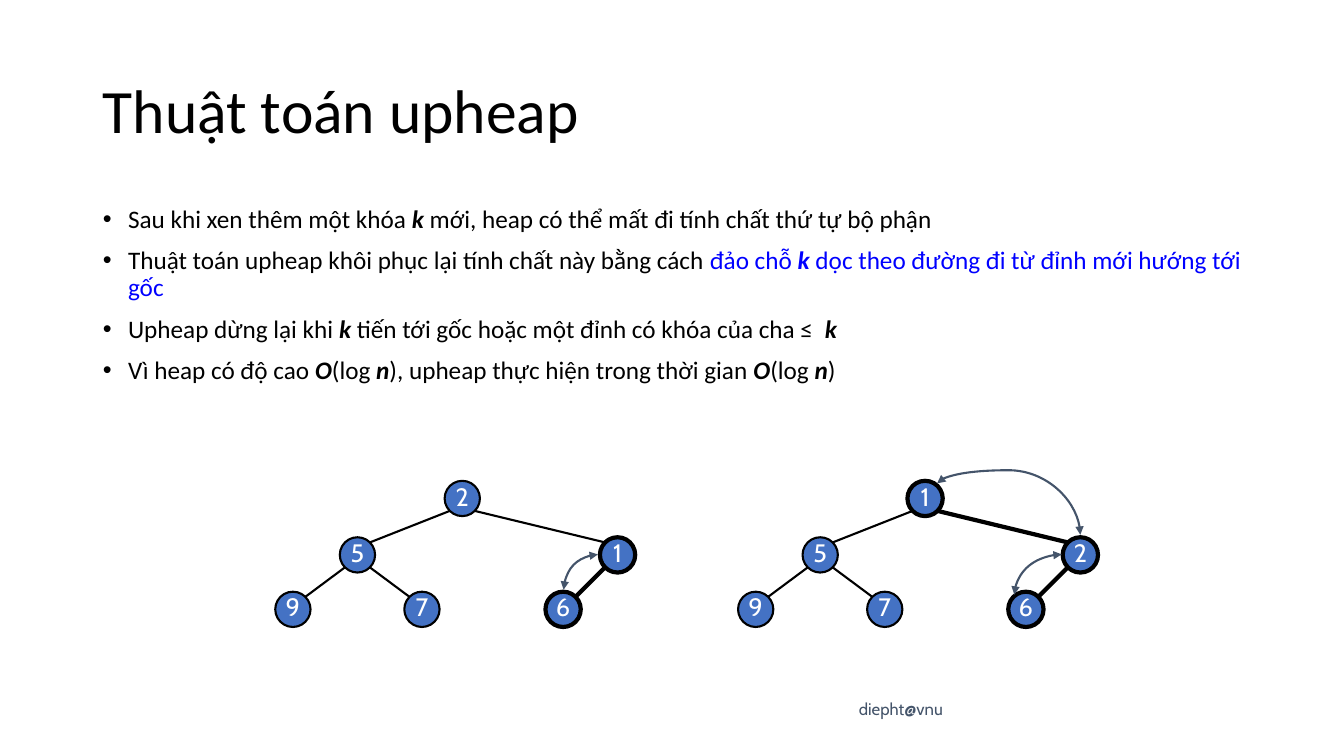
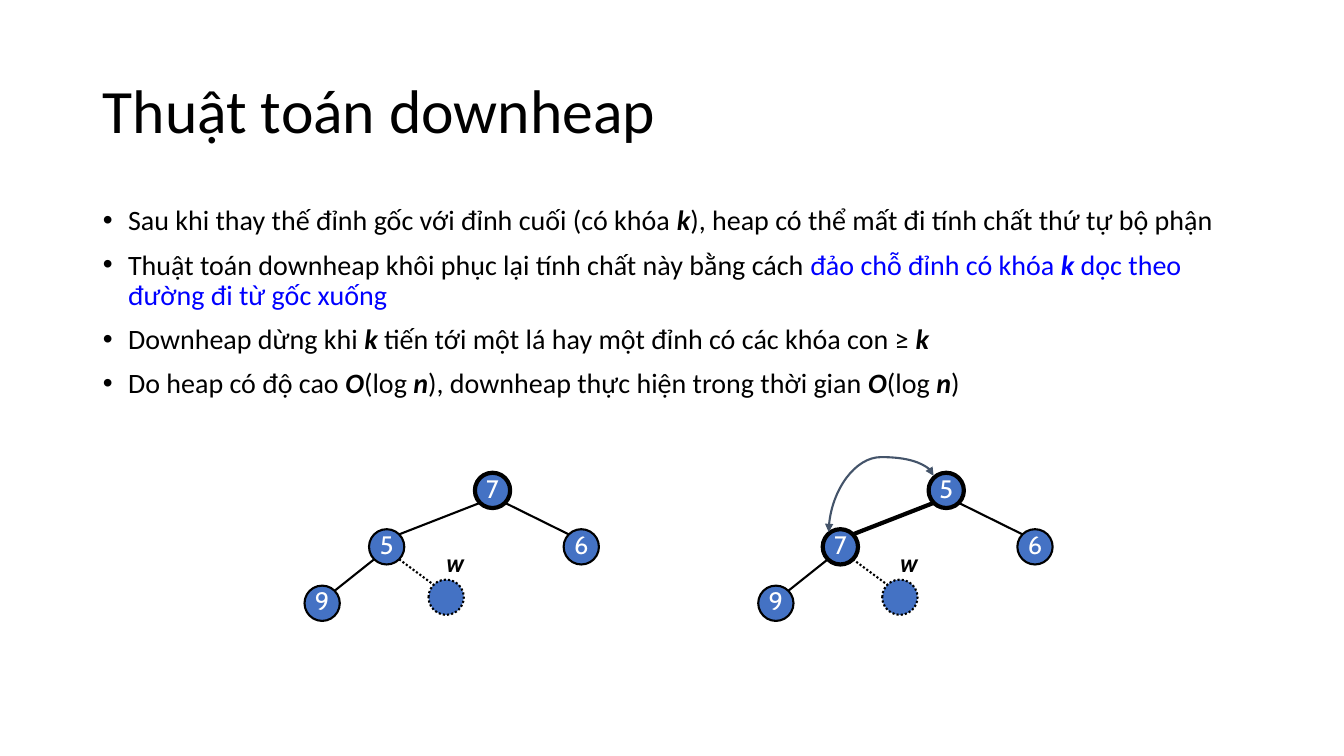
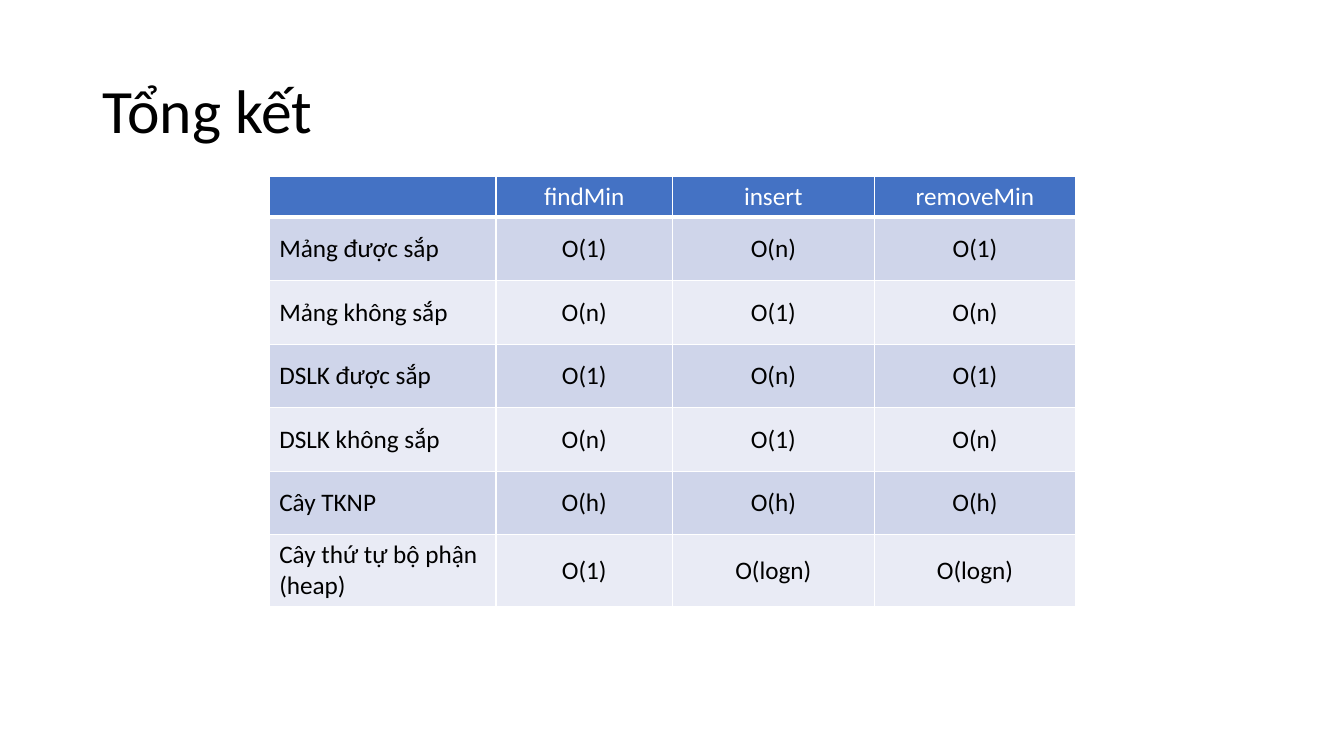
from collections import namedtuple

from lxml import etree
from pptx import Presentation
from pptx import util as u
from pptx.dml.color import RGBColor
from pptx.enum import dml, shapes, text
from pptx.oxml.ns import qn

PX = 9144
COLORS = {
    "black": "000000", "white": "FFFFFF", "node": "4472C4", "blue": "0000FF",
    "slate": "44546A", "band_dark": "CFD5EA", "band_light": "E9EBF5",
}
BODY_FONT, LABEL_FONT = "Calibri", "Cabin"
DIAMETER = 35
DIAGONAL = 0.3536 * DIAMETER
THIN, THICK = 1.5, 3

Curve = namedtuple("Curve", "box rotation flips preset adjust", defaults=(None,))

UPHEAP_NODES = {
    "root": (441, 477), "left": (337, 533), "right": (595, 533),
    "left_leaf": (273, 587), "middle_leaf": (401, 587), "right_leaf": (541, 587),
}
UPHEAP_EDGES = [("root", "left"), ("root", "right"), ("left", "left_leaf"),
                ("left", "middle_leaf"), ("right", "right_leaf")]
DOWNHEAP_NODES = {
    "root": (471, 469), "left": (366, 525), "right": (559, 525),
    "left_leaf": (302, 581), "removed": (425, 575),
}
DOWNHEAP_EDGES = [("root", "left"), ("root", "right"), ("left", "left_leaf"),
                  ("left", "removed")]

COMPLEXITY = [
    ("", "findMin", "insert", "removeMin"),
    ("Mảng được sắp", "O(1)", "O(n)", "O(1)"),
    ("Mảng không sắp", "O(n)", "O(1)", "O(n)"),
    ("DSLK được sắp", "O(1)", "O(n)", "O(1)"),
    ("DSLK không sắp", "O(n)", "O(1)", "O(n)"),
    ("Cây TKNP", "O(h)", "O(h)", "O(h)"),
    ("Cây thứ tự bộ phận (heap)", "O(1)", "O(logn)", "O(logn)"),
]


def px(*lengths):
    """Turn px lengths into EMU."""
    return [u.Emu(round(length * PX)) for length in lengths]


def rgb(name):
    """Return the named palette colour."""
    return RGBColor.from_string(COLORS[name])


def add_run(paragraph, words, size, color="black", font=BODY_FONT, strong=False):
    """Append one formatted run; strong means bold italic."""
    run = paragraph.add_run()
    run.text = words
    run.font.size = u.Pt(size)
    run.font.name = font
    run.font.bold = run.font.italic = strong
    run.font.color.rgb = rgb(color)


def place(shape, left, top, width, height):
    """Move and size a shape in px."""
    shape.left, shape.top, shape.width, shape.height = px(left, top, width, height)


def add_slide(presentation, layout, title):
    """Add a slide with the shared title style."""
    slide = presentation.slides.add_slide(presentation.slide_layouts[layout])
    place(slide.shapes.title, 92, 40, 1150, 145)
    frame = slide.shapes.title.text_frame
    frame.auto_size = text.MSO_AUTO_SIZE.NONE
    frame.vertical_anchor = text.MSO_ANCHOR.MIDDLE
    paragraph = frame.paragraphs[0]
    paragraph.alignment = text.PP_ALIGN.LEFT
    paragraph.line_spacing = 0.9
    add_run(paragraph, title, 44)
    return slide


def fill_body(slide, items, size):
    """Write bullets; each run is a text or a (text, style letters) pair."""
    body = slide.placeholders[1]
    place(body, 92, 200, 1150, 476)
    frame = body.text_frame
    frame.auto_size = text.MSO_AUTO_SIZE.NONE
    for index, runs in enumerate(items):
        paragraph = frame.add_paragraph() if index else frame.paragraphs[0]
        paragraph.line_spacing = 0.9
        paragraph.space_before = u.Pt(10)
        indent, = px(25)
        properties = paragraph._p.get_or_add_pPr()
        properties.set("marL", str(indent))
        properties.set("indent", str(-indent))
        for run in runs:
            words, style = (run, "") if isinstance(run, str) else run
            add_run(paragraph, words, size, "blue" if "c" in style else "black",
                    strong="s" in style)


def add_label(slide, box, words, size, color, wrap, strong=False):
    """Add a text box with one line of label text."""
    label = slide.shapes.add_textbox(*px(*box))
    frame = label.text_frame
    frame.word_wrap = wrap
    frame.vertical_anchor = text.MSO_ANCHOR.MIDDLE
    add_run(frame.paragraphs[0], words, size, color, LABEL_FONT, strong)


def style_line(line, width, color="black", dotted=False):
    """Set the colour, width and dash of a line."""
    line.color.rgb = rgb(color)
    line.width = u.Pt(width)
    if dotted:
        line.dash_style = dml.MSO_LINE.ROUND_DOT


def add_node(slide, left, top, label, bold):
    """Draw a heap node; a node without label is dotted."""
    node = slide.shapes.add_shape(shapes.MSO_SHAPE.OVAL,
                                  *px(left, top, DIAMETER, DIAMETER))
    node.shadow.inherit = False
    node.fill.solid()
    node.fill.fore_color.rgb = rgb("node")
    style_line(node.line, THICK if bold else THIN, dotted=not label)
    if label:
        frame = node.text_frame
        frame.word_wrap = False
        frame.vertical_anchor = text.MSO_ANCHOR.MIDDLE
        frame.margin_left = frame.margin_top = frame.margin_right = 0
        frame.margin_bottom, = px(5)
        frame.paragraphs[0].alignment = text.PP_ALIGN.CENTER
        add_run(frame.paragraphs[0], label, 18, "white", LABEL_FONT)


def add_line(slide, kind, ends, width, color="black", dotted=False):
    """Add a connector without shadow."""
    line = slide.shapes.add_connector(kind, *px(*ends))
    style_line(line.line, width, color, dotted)
    etree.SubElement(line.element.spPr, qn("a:effectLst"))
    return line


def add_edge(slide, parent, child, bold, dotted):
    """Join a parent's lower diagonal point to a child's upper one."""
    side = 1 if child[0] > parent[0] else -1
    radius = DIAMETER / 2
    ends = (parent[0] + radius + side * DIAGONAL, parent[1] + radius + DIAGONAL,
            child[0] + radius - side * DIAGONAL, child[1] + radius - DIAGONAL)
    add_line(slide, shapes.MSO_CONNECTOR.STRAIGHT, ends,
             THICK if bold else THIN, dotted=dotted)


def add_tree(slide, nodes, edges, labels, bold, shift=0):
    """Draw a heap; edges between two bold nodes are bold."""
    spots = {name: (left + shift, top) for name, (left, top) in nodes.items()}
    values = dict(zip(nodes, labels))
    for parent, child in edges:
        add_edge(slide, spots[parent], spots[child], {parent, child} <= bold,
                 child not in values)
    for name, spot in spots.items():
        add_node(slide, *spot, values.get(name, ""), name in bold)


def add_swap(slide, curve):
    """Draw a curved double arrow between swapped nodes."""
    left, top, width, height = curve.box
    arrow = add_line(slide, shapes.MSO_CONNECTOR.CURVE,
                     (left, top, left + width, top + height), THIN, "slate")
    properties = arrow.element.spPr
    frame = properties.find(qn("a:xfrm"))
    frame.set("rot", str(curve.rotation * 60000))
    for flip in curve.flips:
        frame.set("flip" + flip, "1")
    geometry = properties.find(qn("a:prstGeom"))
    geometry.set("prst", curve.preset)
    if curve.adjust is not None:
        guide = etree.SubElement(geometry.find(qn("a:avLst")), qn("a:gd"))
        guide.set("name", "adj1")
        guide.set("fmla", f"val {curve.adjust}")
    for end in ("a:headEnd", "a:tailEnd"):
        etree.SubElement(properties.find(qn("a:ln")), qn(end)).set("type", "triangle")


def add_borders(cell, header):
    """Give a cell white borders, heavier below the header."""
    properties = cell._tc.get_or_add_tcPr()
    for index, side in enumerate("LRTB"):
        width = 3 if header and side == "B" else 1
        line = etree.Element(qn("a:ln" + side), w=str(u.Pt(width)))
        fill = etree.SubElement(line, qn("a:solidFill"))
        etree.SubElement(fill, qn("a:srgbClr")).set("val", COLORS["white"])
        properties.insert(index, line)


def add_table(slide, rows, widths, heights, left, top):
    """Add a table with a header row and banded rows."""
    box = px(left, top, sum(widths), sum(heights))
    table = slide.shapes.add_table(len(rows), len(widths), *box).table
    for column, width in zip(table.columns, px(*widths)):
        column.width = width
    for row, height in zip(table.rows, px(*heights)):
        row.height = height
    for r, row in enumerate(rows):
        band = ("band_light", "band_dark")[r % 2] if r else "node"
        for c, words in enumerate(row):
            cell = table.cell(r, c)
            cell.fill.solid()
            cell.fill.fore_color.rgb = rgb(band)
            cell.vertical_anchor = text.MSO_ANCHOR.MIDDLE
            add_borders(cell, r == 0)
            if words:
                paragraph = cell.text_frame.paragraphs[0]
                paragraph.alignment = (text.PP_ALIGN.CENTER if c
                                       else text.PP_ALIGN.LEFT)
                add_run(paragraph, words, 18, "black" if r else "white")


def cost_item(opening, name):
    """Return the runs of the running-time bullet."""
    order = [("O", "s"), "(log ", ("n", "s")]
    return [opening, *order, f"), {name} thực hiện trong thời gian ", *order, ")"]


def build_upheap(presentation):
    """Build the upheap slide."""
    slide = add_slide(presentation, 1, "Thuật toán upheap")
    add_label(slide, (842, 677, 271, 52), "diepht@vnu", 12, "slate", True)
    fill_body(slide, [
        ["Sau khi xen thêm một khóa ", ("k ", "s"),
         "mới, heap có thể mất đi tính chất thứ tự bộ phận"],
        ["Thuật toán upheap khôi phục lại tính chất này bằng cách ",
         ("đảo chỗ ", "c"), ("k", "cs"),
         (" dọc theo đường đi từ đỉnh mới hướng tới gốc", "c")],
        ["Upheap dừng lại khi ", ("k", "s"),
         " tiến tới gốc hoặc một đỉnh có khóa của cha ≤  ", ("k", "s")],
        cost_item("Vì heap có độ cao ", "upheap"),
    ], 18)
    add_tree(slide, UPHEAP_NODES, UPHEAP_EDGES, "251976", {"right", "right_leaf"})
    add_tree(slide, UPHEAP_NODES, UPHEAP_EDGES, "152976",
             {"root", "right", "right_leaf"}, 459)
    for curve in (
        Curve((975, 434, 51, 142), 90, "H", "curvedConnector3", 125600),
        Curve((1006, 550, 47, 40), 180, "V", "curvedConnector2"),
        Curve((559, 550, 34, 35), 180, "V", "curvedConnector2"),
    ):
        add_swap(slide, curve)


def build_downheap(presentation):
    """Build the downheap slide."""
    slide = add_slide(presentation, 1, "Thuật toán downheap")
    fill_body(slide, [
        ["Sau khi thay thế đỉnh gốc với đỉnh cuối (có khóa ", ("k", "s"),
         "), heap có thể mất đi tính chất thứ tự bộ phận"],
        ["Thuật toán downheap khôi phục lại tính chất này bằng cách ",
         ("đảo chỗ đỉnh có khóa ", "c"), ("k", "cs"),
         (" dọc theo đường đi từ gốc xuống", "c")],
        ["Downheap dừng khi ", ("k", "s"),
         " tiến tới một lá hay một đỉnh có các khóa con ≥ ", ("k", "s")],
        cost_item("Do heap có độ cao ", "downheap"),
    ], 20)
    for labels, bold, shift in (("7569", {"root"}, 0),
                                ("5769", {"root", "left"}, 450)):
        add_tree(slide, DOWNHEAP_NODES, DOWNHEAP_EDGES, labels, bold, shift)
        add_label(slide, (433 + shift, 538, 39, 40), "w", 18, "black", False, True)
    add_swap(slide, Curve((846, 448, 56, 104), 270, "HV", "curvedConnector3", -33100))


def build_summary(presentation):
    """Build the summary slide with the complexity table."""
    slide = add_slide(presentation, 5, "Tổng kết")
    add_table(slide, COMPLEXITY, [225, 175, 200, 200], [40] + [63] * 5 + [70],
              267, 175)


def main():
    """Build and save the presentation."""
    presentation = Presentation()
    presentation.slide_width, presentation.slide_height = px(1333, 750)
    build_upheap(presentation)
    build_downheap(presentation)
    build_summary(presentation)
    presentation.save("out.pptx")


if __name__ == "__main__":
    main()
